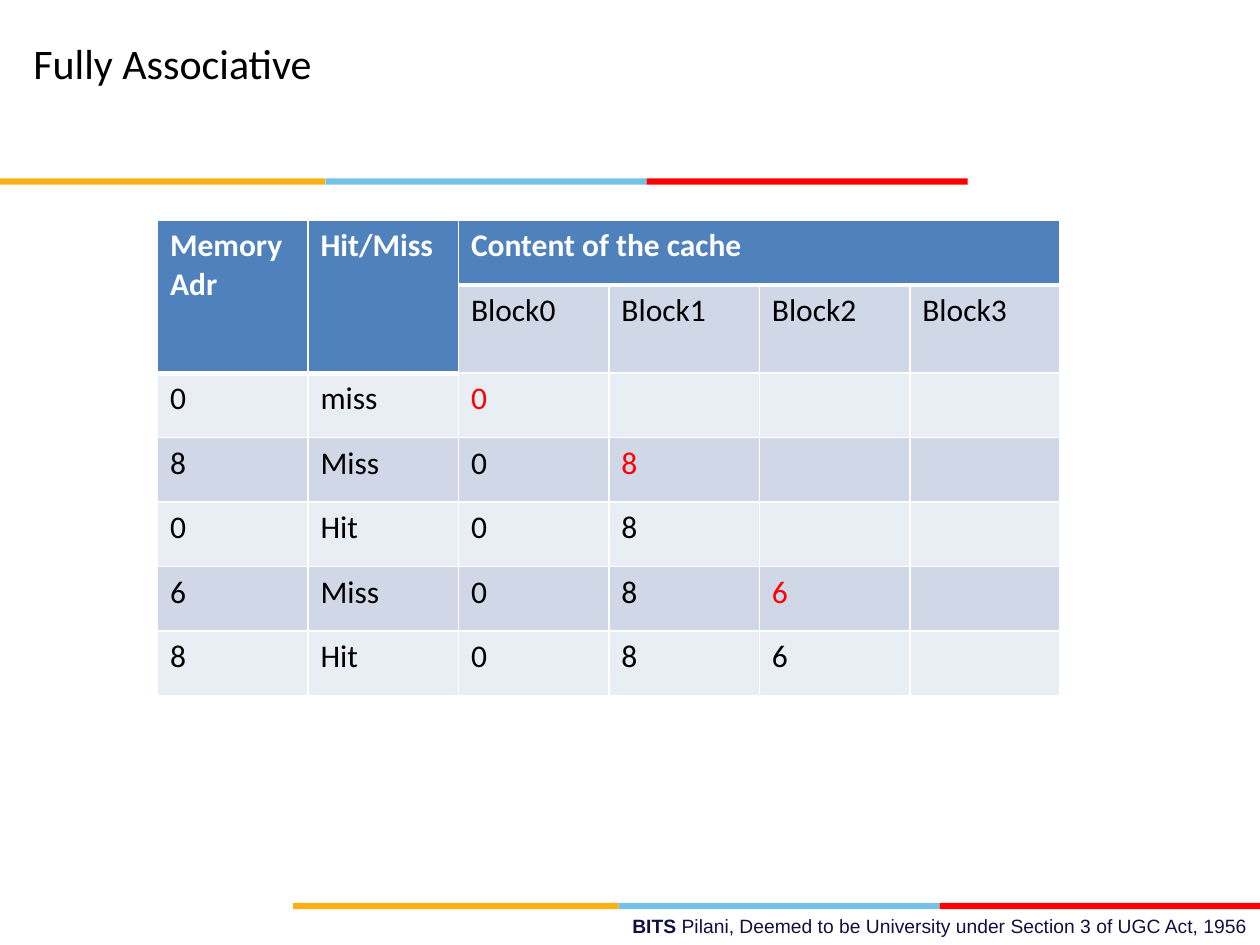
from lxml import etree
from pptx import Presentation
from pptx.dml.color import RGBColor
from pptx.enum.shapes import MSO_SHAPE
from pptx.enum.text import MSO_AUTO_SIZE, PP_ALIGN
from pptx.oxml.ns import qn
from pptx.util import Pt

RECT = MSO_SHAPE.RECTANGLE
GROW = MSO_AUTO_SIZE.SHAPE_TO_FIT_TEXT
LEFT, RIGHT = PP_ALIGN.LEFT, PP_ALIGN.RIGHT

BLACK, WHITE, RED, NAVY = "000000", "FFFFFF", "FF0000", "101141"
HEADER, BAND_DARK, BAND_LIGHT = "4F81BD", "D0D8E8", "E9EDF4"
STRIPES = [("FCB017", 186), ("76C2E5", 183.5), (RED, 183.5)]

CACHE_ROWS = [
    ["Memory Adr", "Hit/Miss", "Content of the cache", "", "", ""],
    ["", "", "Block0", "Block1", "Block2", "Block3"],
    ["0", "miss", "0", "", "", ""],
    ["8", "Miss", "0", "8", "", ""],
    ["0", "Hit", "0", "8", "", ""],
    ["6", "Miss", "0", "8", "6", ""],
    ["8", "Hit", "0", "8", "6", ""],
]
HEADER_MERGES = [((0, 0), (1, 0)), ((0, 1), (1, 1)), ((0, 2), (0, 5))]
NEWLY_LOADED = {(2, 2), (3, 3), (5, 4)}


def rgb(value):
    """Turn a hex string into a colour."""
    return RGBColor.from_string(value)


class SlideBuilder:
    """Hold the style and the current slide."""

    def __init__(self, s, font="Calibri"):
        """Keep the slide and its main font."""
        self.s = s
        self.font = font

    def style(self, r, size, color, bold=False, font=None):
        """Format one run."""
        r.font.name = font or self.font
        r.font.size = Pt(size)
        r.font.bold = bold
        r.font.color.rgb = rgb(color)

    def stripe(self, x, y):
        """Draw the three-coloured rule from a left end."""
        for color, width in STRIPES:
            sp = self.s.shapes.add_shape(RECT, Pt(x), Pt(y), Pt(width), Pt(3.6))
            sp.shadow.inherit = False
            sp.fill.solid()
            sp.fill.fore_color.rgb = rgb(color)
            sp.line.fill.background()
            x += width

    def text(self, box, parts, size, color, align=LEFT, font=None):
        """Add a one-line text box made of (text, bold) parts."""
        tf = self.s.shapes.add_textbox(*map(Pt, box)).text_frame
        tf.word_wrap = True
        tf.auto_size = GROW
        p = tf.paragraphs[0]
        p.alignment = align
        for text, bold in parts:
            r = p.add_run()
            r.text = text
            self.style(r, size, color, bold, font)

    def border(self, cell, edge, width):
        """Give one edge of a cell a white line."""
        ln = etree.SubElement(cell._tc.get_or_add_tcPr(), qn(f"a:ln{edge}"), w=str(Pt(width)))
        fill = etree.SubElement(ln, qn("a:solidFill"))
        etree.SubElement(fill, qn("a:srgbClr"), val=WHITE)

    def table(self, box, rows, merges, marked):
        """Add a banded table with a merged header and marked cells."""
        shape = self.s.shapes.add_table(len(rows), len(rows[0]), *map(Pt, box))
        table = shape.table
        for start, end in merges:
            table.cell(*start).merge(table.cell(*end))
        for i, row in enumerate(rows):
            for j, text in enumerate(row):
                cell = table.cell(i, j)
                header = i == 0 or cell.is_spanned
                self.border(cell, "L", 1)
                self.border(cell, "R", 1)
                if i == 0:
                    self.border(cell, "T", 1)
                self.border(cell, "B", 3 if header else 1)
                cell.fill.solid()
                band = BAND_DARK if i % 2 else BAND_LIGHT
                cell.fill.fore_color.rgb = rgb(HEADER if header else band)
                color = WHITE if header else RED if (i, j) in marked else BLACK
                cell.text_frame.text = text
                for r in cell.text_frame.paragraphs[0].runs:
                    self.style(r, 18, color, header)


def main():
    """Build and save the slide."""
    prs = Presentation()
    prs.slide_width, prs.slide_height = Pt(720), Pt(540)
    slide = SlideBuilder(prs.slides.add_slide(prs.slide_layouts[6]))
    slide.stripe(0, 102)
    slide.stripe(167.5, 516)
    footer = [("BITS ", True),
              ("Pilani, Deemed to be University under Section 3 of UGC Act, 1956", False)]
    slide.text((258, 519, 462, 21), footer, 11, NAVY, RIGHT, "Arial")
    slide.table((90, 126, 516, 258), CACHE_ROWS, HEADER_MERGES, NEWLY_LOADED)
    slide.text((12, 18, 462, 36), [("Fully Associative", False)], 24, BLACK)
    prs.save("out.pptx")


if __name__ == "__main__":
    main()
